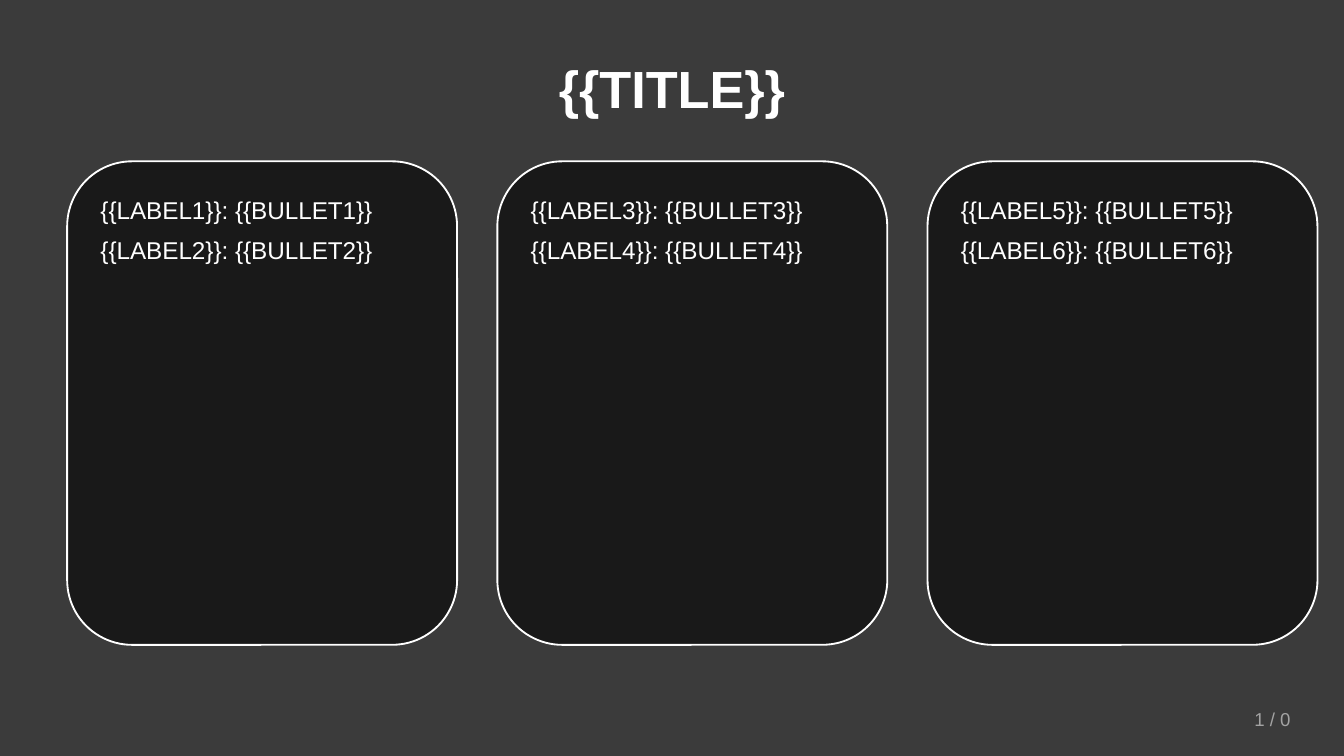
from lxml import etree
from pptx import Presentation
from pptx.dml.color import RGBColor
from pptx.enum.shapes import MSO_SHAPE
from pptx.enum.text import MSO_ANCHOR, PP_ALIGN
from pptx.oxml.ns import qn
from pptx.util import Cm, Pt

RECTANGLE, ROUNDED = MSO_SHAPE.RECTANGLE, MSO_SHAPE.ROUNDED_RECTANGLE
TOP, MIDDLE = MSO_ANCHOR.TOP, MSO_ANCHOR.MIDDLE
LEFT, CENTER, RIGHT = PP_ALIGN.LEFT, PP_ALIGN.CENTER, PP_ALIGN.RIGHT

TITLE = "{{TITLE}}"
CARDS = [
    ["{{LABEL1}}: {{BULLET1}}", "{{LABEL2}}: {{BULLET2}}"],
    ["{{LABEL3}}: {{BULLET3}}", "{{LABEL4}}: {{BULLET4}}"],
    ["{{LABEL5}}: {{BULLET5}}", "{{LABEL6}}: {{BULLET6}}"],
]
PAGE_NUMBER = "1 / 0"

WHITE, GREY, BACKDROP, CARD = "FFFFFF", "A3A3A3", "0A0A0A", "141414"
SLIDE_WIDTH, SLIDE_HEIGHT = Cm(25.4), Cm(14.29)
CARD_LEFT, CARD_TOP = Cm(1.27), Cm(3.05)
CARD_WIDTH, CARD_HEIGHT, CARD_GAP = Cm(7.37), Cm(9.14), Cm(0.76)
PAD_X, PAD_Y = Cm(0.38), Cm(0.51)


def color(hex_text):
    return RGBColor.from_string(hex_text)


def add_panel(page, preset, place, fill, opacity, outline=None):
    """Add a shape with a see-through fill; opacity is in percent."""
    panel = page.shapes.add_shape(preset, *place)
    panel.shadow.inherit = False
    panel.fill.solid()
    panel.fill.fore_color.rgb = color(fill)
    solid = panel.fill._xPr.find(qn("a:solidFill"))
    etree.SubElement(solid[0], qn("a:alpha"), val=str(opacity * 1000))
    if outline:
        panel.line.color.rgb = color(outline)
        panel.line.width = Pt(1)
    else:
        panel.line.fill.background()


def write(box, lines, size, fill=WHITE, bold=False, align=LEFT, anchor=TOP, after=0):
    frame = box.text_frame
    frame.word_wrap = True
    frame.vertical_anchor = anchor
    frame.text = "\n".join(lines)
    for paragraph in frame.paragraphs:
        paragraph.alignment = align
        paragraph.space_after = Pt(after)
        font = paragraph.font
        font.name, font.size, font.bold = "Arial", Pt(size), bold
        font.color.rgb = color(fill)


deck = Presentation()
deck.slide_width, deck.slide_height = SLIDE_WIDTH, SLIDE_HEIGHT
page = deck.slides.add_slide(deck.slide_layouts[5])
page.background.fill.solid()
page.background.fill.fore_color.rgb = color(WHITE)

add_panel(page, RECTANGLE, (0, 0, SLIDE_WIDTH, SLIDE_HEIGHT), BACKDROP, 80)

title = page.shapes.title
title.left, title.top, title.width, title.height = Cm(1.27), Cm(0.76), Cm(22.86), Cm(1.78)
write(title, [TITLE], 28, bold=True, align=CENTER, anchor=MIDDLE)
# Bring the title in front of the backdrop
page.shapes._spTree.append(title._element)

for index, lines in enumerate(CARDS):
    left = CARD_LEFT + index * (CARD_WIDTH + CARD_GAP)
    add_panel(page, ROUNDED, (left, CARD_TOP, CARD_WIDTH, CARD_HEIGHT), CARD, 85, WHITE)
    box = page.shapes.add_textbox(left + PAD_X, CARD_TOP + PAD_Y,
                                  CARD_WIDTH - 2 * PAD_X, CARD_HEIGHT - 2 * PAD_Y)
    write(box, lines, 13, after=6)

number = page.shapes.add_textbox(Cm(21.59), Cm(13.21), Cm(3.05), Cm(0.76))
write(number, [PAGE_NUMBER], 10, GREY, align=RIGHT, anchor=MIDDLE)

deck.save("out.pptx")
